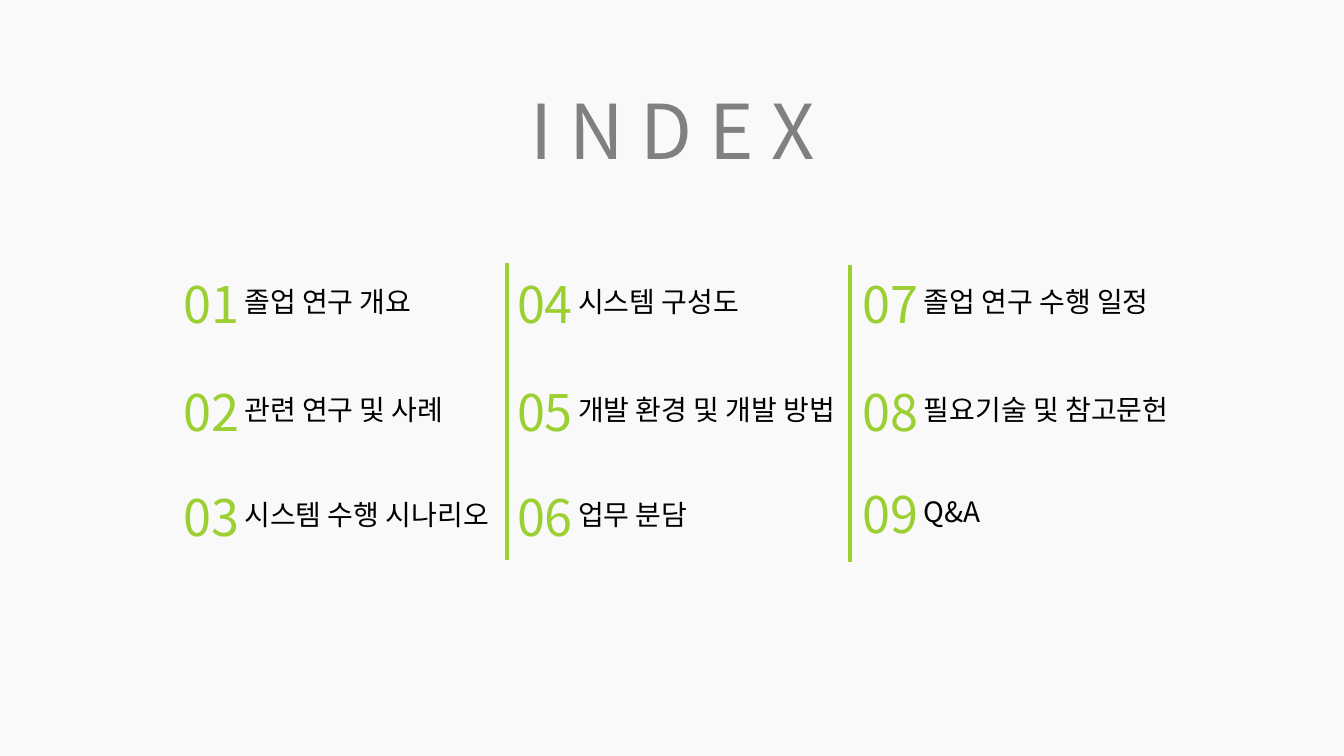
from lxml import etree
from pptx import Presentation
from pptx import util as u
from pptx.dml import color
from pptx.enum import shapes, text
from pptx.oxml import ns

FONT = "Noto Sans CJK KR"
GREEN, GRAY, BLACK, PAPER = "9CCF32", "808080", "000000", "F9F9F9"

COLUMNS = [
    (123.8, (191.5, 268.5, 343.5), ("졸업 연구 개요", "관련 연구 및 사례", "시스템 수행 시나리오")),
    (362.2, (191.5, 268.5, 343.5), ("시스템 구성도", "개발 환경 및 개발 방법", "업무 분담")),
    (609.1, (191.5, 268.5, 341.3), ("졸업 연구 수행 일정", "필요기술 및 참고문헌", "Q&A")),
]
DIVIDERS = [(362.2, 188), (607, 189.2)]


def paint(target, value):
    target.rgb = color.RGBColor.from_string(value)


def write(box, words, size, ink):
    frame = box.text_frame
    frame.word_wrap = True
    frame.auto_size = text.MSO_AUTO_SIZE.NONE
    frame.vertical_anchor = text.MSO_ANCHOR.TOP
    para = frame.paragraphs[0]
    para.alignment = text.PP_ALIGN.LEFT
    span = para.add_run()
    span.text = words
    span.font.size = u.Pt(size)
    span.font.name = FONT
    paint(span.font.color, ink)
    east_asian = etree.SubElement(span.font._element, ns.qn("a:ea"))
    east_asian.set("typeface", FONT)


class IndexPage:
    def __init__(self, deck):
        self.page = deck.slides.add_slide(deck.slide_layouts[5])
        fill = self.page.background.fill
        fill.solid()
        paint(fill.fore_color, PAPER)

    def title(self, words, left, top, width, height):
        box = self.page.shapes.title
        box.left, box.top = u.Pt(left), u.Pt(top)
        box.width, box.height = u.Pt(width), u.Pt(height)
        write(box, words, 54, GRAY)

    def entry(self, number, label, left, top):
        group = self.page.shapes.add_group_shape()
        number_box = group.shapes.add_textbox(u.Pt(left), u.Pt(top), u.Pt(65), u.Pt(51))
        write(number_box, f"{number:02d}", 36, GREEN)
        label_box = group.shapes.add_textbox(
            u.Pt(left + 43.6), u.Pt(top + 8.4), u.Pt(210), u.Pt(31.5))
        write(label_box, label, 20, BLACK)

    def divider(self, left, top, height):
        line = self.page.shapes.add_connector(
            shapes.MSO_CONNECTOR.STRAIGHT,
            u.Pt(left), u.Pt(top), u.Pt(left), u.Pt(top + height))
        line.line.width = u.Pt(2.5)
        paint(line.line.color, GREEN)
        etree.SubElement(line._element.spPr, ns.qn("a:effectLst"))


def main():
    deck = Presentation()
    deck.slide_width, deck.slide_height = u.Pt(960), u.Pt(540)
    index = IndexPage(deck)
    index.title("I N D E X", 371.5, 56.2, 240, 72.7)
    number = 1
    for left, tops, labels in COLUMNS:
        for top, label in zip(tops, labels):
            index.entry(number, label, left, top)
            number += 1
    for left, top in DIVIDERS:
        index.divider(left, top, 212)
    deck.save("out.pptx")


if __name__ == "__main__":
    main()
